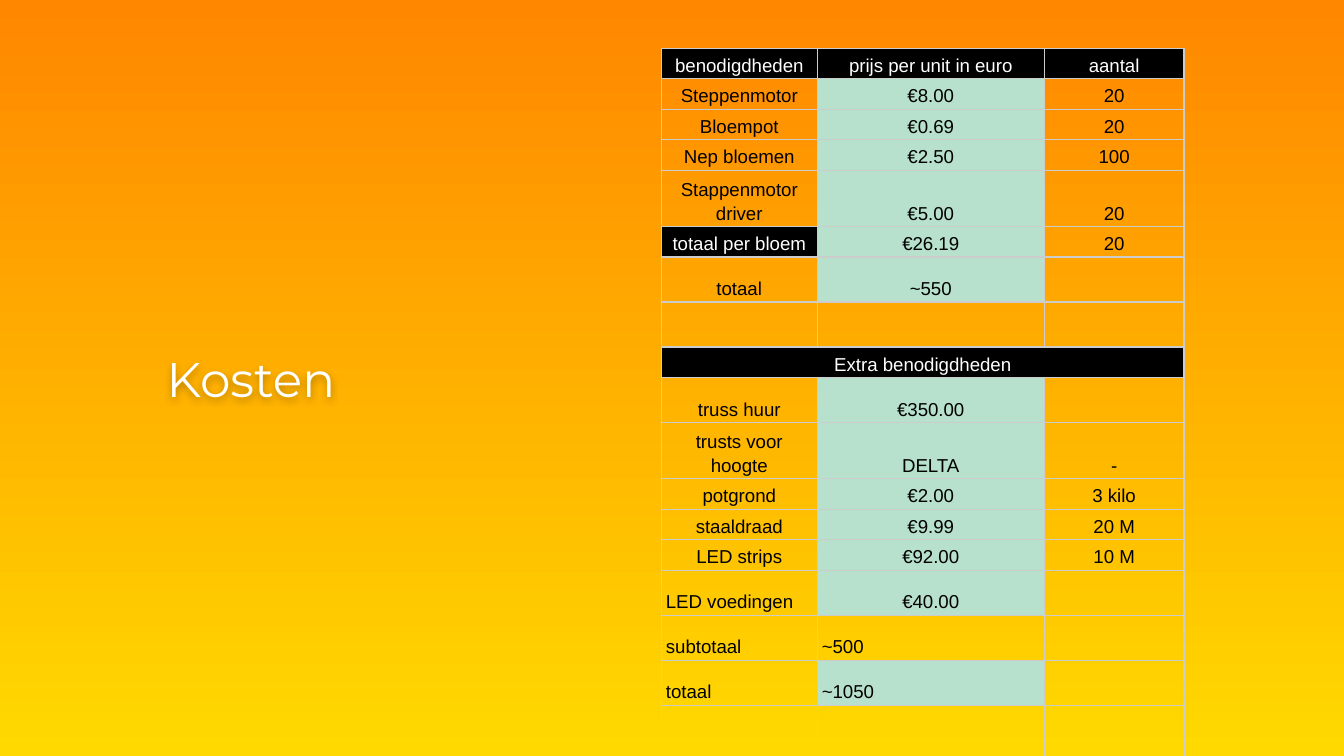
from lxml import etree
from pptx import Presentation
from pptx.dml.color import RGBColor
from pptx.enum.text import MSO_ANCHOR, PP_ALIGN
from pptx.oxml.ns import qn
from pptx.util import Inches, Pt

BOTTOM, MIDDLE = MSO_ANCHOR.BOTTOM, MSO_ANCHOR.MIDDLE
LEFT, CENTER = PP_ALIGN.LEFT, PP_ALIGN.CENTER

SLIDE_WIDTH = Inches(10)
SLIDE_HEIGHT = SLIDE_WIDTH * 9 // 16
BLACK, WHITE, MINT, GREY = "000000", "FFFFFF", "B7E1CD", "CCCCCC"
NO_STYLE = "{2D5ABB26-0587-4C30-8999-92F81FD0307C}"

TABLE_SIZE = Inches(3.28)
COLUMN_WIDTHS = (1.16, 1.69, 1.04)
SINGLE, SPACED, DOUBLE = 0.21, 0.25, 0.38
COST_ROWS = (
    (SINGLE, "benodigdheden", "prijs per unit in euro", "aantal"),
    (SINGLE, "Steppenmotor", "€8.00", "20"),
    (SINGLE, "Bloempot", "€0.69", "20"),
    (SINGLE, "Nep bloemen", "€2.50", "100"),
    (DOUBLE, "Stappenmotor driver", "€5.00", "20"),
    (SINGLE, "totaal per bloem", "€26.19", "20"),
    (SPACED, "totaal", "~550", ""),
    (SPACED, "", "", ""),
    (SINGLE, "Extra benodigdheden", "", ""),
    (SPACED, "truss huur", "€350.00", ""),
    (DOUBLE, "trusts voor hoogte", "DELTA", "-"),
    (SINGLE, "potgrond", "€2.00", "3 kilo"),
    (SINGLE, "staaldraad", "€9.99", "20 M"),
    (SINGLE, "LED strips", "€92.00", "10 M"),
    (SPACED, "LED voedingen", "€40.00", ""),
    (SPACED, "subtotaal", "~500", ""),
    (SPACED, "totaal", "~1050", ""),
    (SPACED, "", "", ""),
    (SPACED, "", "", ""),
)
EXTRA_HEADER = 8
BLACK_CELLS = {(0, 0), (0, 1), (0, 2), (5, 0), (EXTRA_HEADER, 0)}
LEFT_CELLS = {(14, 0), (15, 0), (15, 1), (16, 0), (16, 1)}
SUBTOTAL = (15, 1)
HIDDEN_SIDES = {17: ("lnB",), 18: ("lnT",)}


def color(hex_value):
    return RGBColor.from_string(hex_value)


def format_text(paragraph, font_name, size, hex_value):
    for run in paragraph.runs:
        run.font.name = font_name
        run.font.size = Pt(size)
        run.font.color.rgb = color(hex_value)


def set_background(slide, top, bottom):
    fill = slide.background.fill
    fill.gradient()
    fill.gradient_angle = 270
    for stop, hex_value in zip(fill.gradient_stops, (top, bottom)):
        stop.color.rgb = color(hex_value)


def add_soft_shadow(shape):
    effects = etree.SubElement(shape._element.spPr, qn("a:effectLst"))
    shadow = etree.SubElement(effects, qn("a:outerShdw"), blurRad="57150",
                              dist="19050", dir="5400000", algn="bl", rotWithShape="0")
    shade = etree.SubElement(shadow, qn("a:srgbClr"), val=BLACK)
    etree.SubElement(shade, qn("a:alpha"), val="30000")


def add_title(slide, text):
    shape = slide.shapes.add_textbox(Inches(1.24), Inches(0.99), Inches(2.21), Inches(3.64))
    frame = shape.text_frame
    frame.margin_left = frame.margin_right = frame.margin_top = frame.margin_bottom = 0
    frame.word_wrap = True
    frame.vertical_anchor = MIDDLE
    frame.text = text
    format_text(frame.paragraphs[0], "Montserrat", 26, WHITE)
    add_soft_shadow(shape)


def set_borders(cell, hidden=()):
    properties = cell._tc.get_or_add_tcPr()
    for side in ("lnL", "lnR", "lnT", "lnB"):
        line = etree.SubElement(properties, qn(f"a:{side}"), w=str(Pt(0.75)))
        if side in hidden:
            etree.SubElement(line, qn("a:noFill"))
        else:
            fill = etree.SubElement(line, qn("a:solidFill"))
            etree.SubElement(fill, qn("a:srgbClr"), val=GREY)


def set_fill(cell, hex_value):
    if hex_value:
        cell.fill.solid()
        cell.fill.fore_color.rgb = color(hex_value)
    else:
        cell.fill.background()


def cell_fill(position, text):
    if position in BLACK_CELLS:
        return BLACK
    is_price = position[1] == 1 and text and position != SUBTOTAL
    return MINT if is_price else None


def fill_cell(cell, position, text):
    cell.margin_left = cell.margin_right = Pt(2.5)
    cell.margin_top = cell.margin_bottom = Pt(1.25)
    cell.vertical_anchor = BOTTOM
    set_borders(cell, HIDDEN_SIDES.get(position[0], ()))
    set_fill(cell, cell_fill(position, text))
    if text:
        cell.text_frame.text = text
        paragraph = cell.text_frame.paragraphs[0]
        paragraph.alignment = LEFT if position in LEFT_CELLS else CENTER
        paragraph.line_spacing = 1.15
        format_text(paragraph, "Arial", 10, WHITE if position in BLACK_CELLS else BLACK)


def add_cost_table(slide):
    shape = slide.shapes.add_table(
        len(COST_ROWS), len(COLUMN_WIDTHS), Inches(4.92), Inches(0.36),
        TABLE_SIZE, TABLE_SIZE)
    table = shape.table
    table.first_row = table.horz_banding = False
    table._tbl.tblPr.find(qn("a:tableStyleId")).text = NO_STYLE
    for column, width in zip(table.columns, COLUMN_WIDTHS):
        column.width = Inches(width)
    for row_index, (height, *texts) in enumerate(COST_ROWS):
        table.rows[row_index].height = Inches(height)
        for column_index, text in enumerate(texts):
            fill_cell(table.cell(row_index, column_index), (row_index, column_index), text)
    last_column = len(COLUMN_WIDTHS) - 1
    table.cell(EXTRA_HEADER, 0).merge(table.cell(EXTRA_HEADER, last_column))
    # Row and column sizes change the frame, so its size is set last.
    shape.width = shape.height = TABLE_SIZE


def main():
    presentation = Presentation()
    presentation.slide_width, presentation.slide_height = SLIDE_WIDTH, SLIDE_HEIGHT
    slide = presentation.slides.add_slide(presentation.slide_layouts[6])
    set_background(slide, "FF8700", "FFD900")
    add_title(slide, "Kosten")
    add_cost_table(slide)
    presentation.save("out.pptx")


if __name__ == "__main__":
    main()
